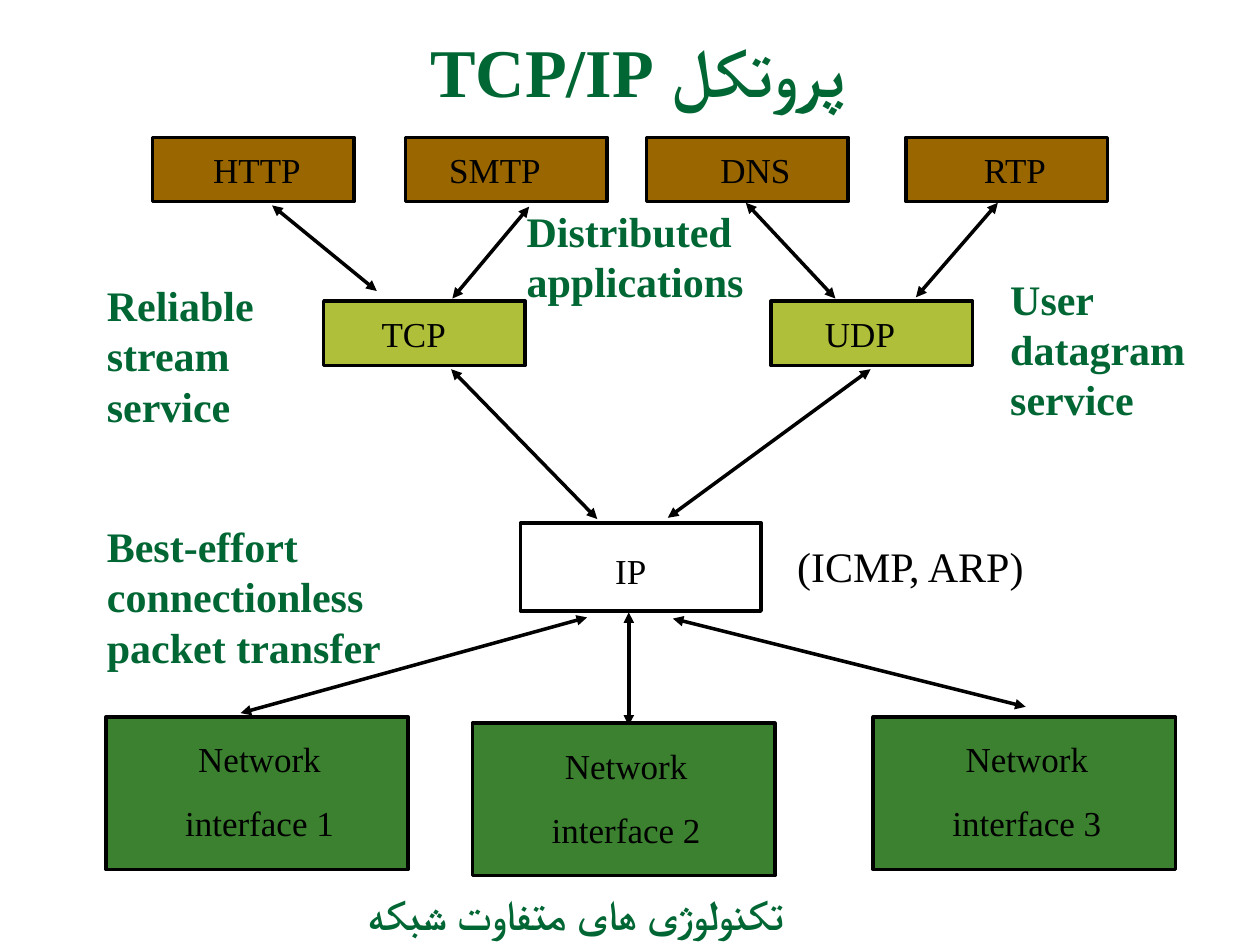
from lxml import etree
from pptx import Presentation
from pptx.dml.color import RGBColor
from pptx.enum import shapes, text
from pptx.oxml.ns import qn
from pptx.util import Pt

COLORS = {
    "application": "996600",
    "transport": "AFBF39",
    "network": "3B812F",
    "note": "006633",
    "ink": "000000",
}
FONT = "Times New Roman"
NOTE = {"size": Pt(24), "bold": True}
LABEL = {"size": Pt(20), "bold": False}


def color(name):
    return RGBColor.from_string(COLORS[name])


def add_text(slide, box, lines, style, ink="note", gap=0, wrap=True, **formats):
    """Place one paragraph per line; formats go to every paragraph."""
    shape = slide.shapes.add_textbox(*map(Pt, box))
    frame = shape.text_frame
    frame.word_wrap = wrap
    for index, line in enumerate(lines):
        paragraph = frame.paragraphs[0] if index == 0 else frame.add_paragraph()
        paragraph.text = line
        if index:
            paragraph.space_before = Pt(gap)
        for name, value in formats.items():
            setattr(paragraph, name, value)
        font = paragraph.runs[0].font
        for name, value in {"name": FONT, **style}.items():
            setattr(font, name, value)
        font.color.rgb = color(ink)
        # Persian letters take the complex-script typeface
        properties = paragraph.runs[0]._r.get_or_add_rPr()
        etree.SubElement(properties, qn("a:cs")).set("typeface", FONT)
    return frame


def add_node(slide, box, label_box, lines, fill=None):
    """Draw a framed box; label_box is measured from its top left corner."""
    left, top = box[:2]
    shape = slide.shapes.add_shape(shapes.MSO_SHAPE.RECTANGLE, *map(Pt, box))
    shape.shadow.inherit = False
    if fill:
        shape.fill.solid()
        shape.fill.fore_color.rgb = color(fill)
    else:
        shape.fill.background()
    shape.line.color.rgb = color("ink")
    shape.line.width = Pt(2)
    dx, dy, width, height = label_box
    frame = add_text(slide, (left + dx, top + dy, width, height), lines, LABEL,
                     "ink", gap=12.5, wrap=False, alignment=text.PP_ALIGN.CENTER)
    label_formats = {"vertical_anchor": text.MSO_ANCHOR.MIDDLE,
                     "margin_left": 0, "margin_right": 0}
    for name, value in label_formats.items():
        setattr(frame, name, value)


def add_arrow(slide, start, end):
    connector = slide.shapes.add_connector(
        shapes.MSO_CONNECTOR.STRAIGHT, *map(Pt, (*start, *end)))
    connector.line.color.rgb = color("ink")
    connector.line.width = Pt(2)
    line = connector.line._get_or_add_ln()
    for tag in ("a:headEnd", "a:tailEnd"):
        etree.SubElement(line, qn(tag)).set("type", "triangle")
    etree.SubElement(connector._element.spPr, qn("a:effectLst"))


def add_title(slide, box):
    frame = add_text(slide, box, ["پروتکل TCP/IP"], {"size": Pt(39), "bold": True},
                     wrap=False, alignment=text.PP_ALIGN.RIGHT)
    frame.paragraphs[0]._p.get_or_add_pPr().set("rtl", "1")


def add_links(slide):
    links = [
        ((155.5, 117.4), (215.3, 166.3)),  # HTTP - TCP
        ((258.5, 170.6), (302.4, 118.1)),  # TCP - SMTP
        ((477.4, 170.6), (426.2, 115.9)),  # UDP - DNS
        ((523.4, 169.9), (570.2, 115.9)),  # UDP - RTP
        ((341.3, 296.6), (257.8, 211)),    # IP - TCP
        ((381.6, 295.9), (497.5, 211)),    # IP - UDP
        ((137.5, 407.5), (335.5, 352.8)),  # interface 1 - IP
        ((359.3, 414.7), (359.3, 349.9)),  # interface 2 - IP
        ((586.1, 403.9), (384.5, 353.5)),  # interface 3 - IP
    ]
    for start, end in links:
        add_arrow(slide, start, end)


def add_layer(slide, top, fill, nodes):
    """Row of equal small boxes: name, left, label offset, label width."""
    for name, left, offset, width in nodes:
        add_node(slide, (left, top, 115.2, 36.7), (offset, 2.8, width, 31.7),
                 [name], fill)


def add_interfaces(slide, top):
    for number, (left, drop) in enumerate([(60.5, 0), (270, 3.6), (499, 0)], 1):
        add_node(slide, (left, top + drop, 172.8, 87.1), (18, 8.4, 139.7, 67.7),
                 ["Network", f"interface {number}"], "network")


def add_notes(slide):
    notes = [
        ((293.8, 113.8, 185.8, 64.8), ["Distributed applications"]),
        ((54, 156.2, 144, 93.6), ["Reliable stream service"]),
        ((570.2, 152.6, 144, 93.6), ["User", "datagram service"]),
        ((54, 293.8, 229, 93.6), ["Best-effort", "connectionless packet transfer"]),
        ((203, 504, 372.2, 36), ["تکنولوژی های متفاوت شبکه"]),
    ]
    for box, lines in notes:
        add_text(slide, box, lines, NOTE)
    frame = add_text(slide, (446.4, 305.3, 147.6, 36), ["(ICMP, ARP)"],
                     {"size": Pt(24), "bold": False}, "ink", wrap=False,
                     alignment=text.PP_ALIGN.CENTER)
    frame.vertical_anchor = text.MSO_ANCHOR.MIDDLE


def main():
    presentation = Presentation()
    presentation.slide_width, presentation.slide_height = Pt(720), Pt(540)
    slide = presentation.slides.add_slide(presentation.slide_layouts[6])
    add_title(slide, (199.4, 13, 290.9, 54))
    add_notes(slide)
    add_links(slide)
    add_layer(slide, 78.5, "application", [
        ("HTTP", 87.1, 22.3, 74.9),
        ("SMTP", 231.8, 18, 66.2),
        ("DNS", 369.4, 31, 62.6),
        ("RTP", 517.7, 36.7, 51.1),
    ])
    add_layer(slide, 172.1, "transport", [
        ("TCP", 185, 25.9, 51.1),
        ("UDP", 440.6, 23.8, 54),
    ])
    add_node(slide, (297.4, 298.8, 137.5, 50.4), (46.8, 11.5, 32.4, 31.7), ["IP"])
    add_interfaces(slide, 409.7)
    presentation.save("out.pptx")


if __name__ == "__main__":
    main()
